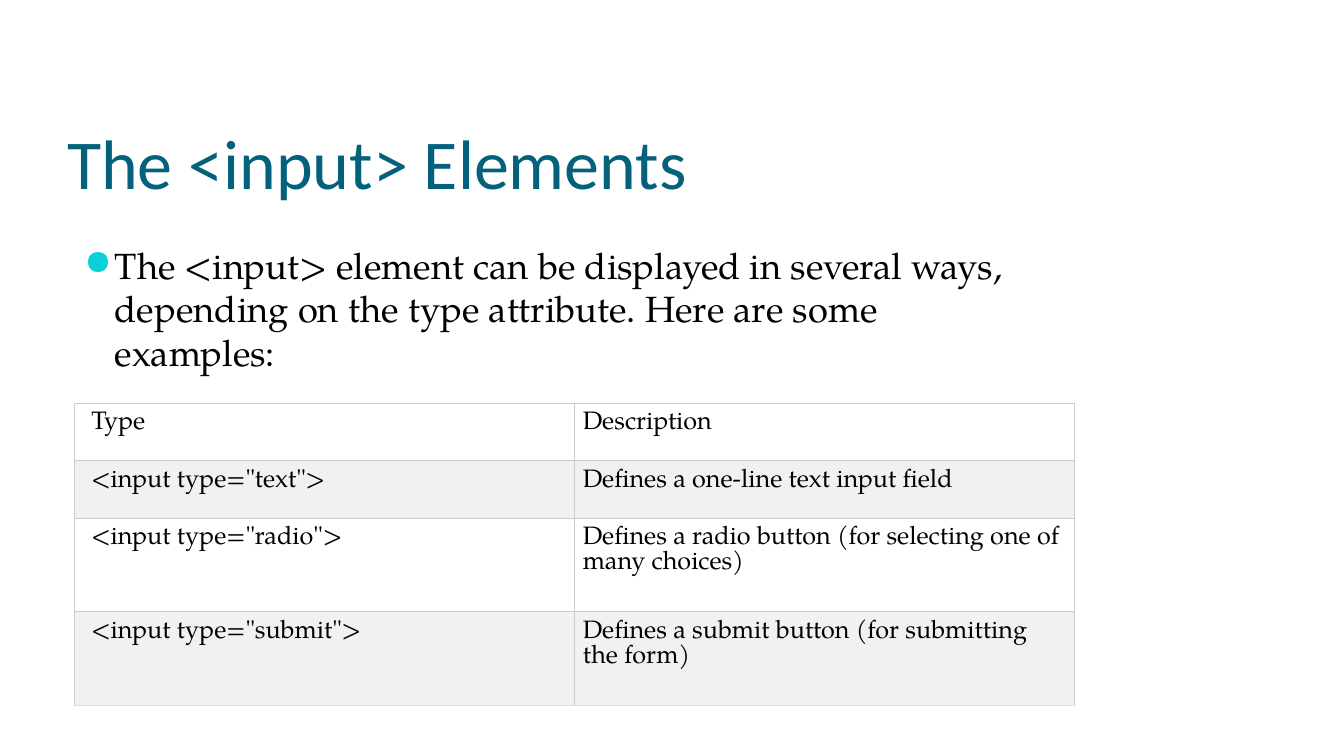
import pptx
import pptx.dml.color
import pptx.enum.text
import pptx.oxml
import pptx.oxml.ns
import pptx.util
from dataclasses import dataclass

Pt = pptx.util.Pt
RGB = pptx.dml.color.RGBColor.from_string
ANCHOR = pptx.enum.text.MSO_ANCHOR
NS = pptx.oxml.ns.nsdecls("a")


@dataclass(frozen=True)
class Theme:
    heading_font: str = "Calibri"
    body_font: str = "TeX Gyre Pagella"
    heading: str = "04617B"
    ink: str = "000000"
    bullet: str = "0BD0D9"
    row_fills: tuple = ("FFFFFF", "F1F1F1")
    grid: str = "CCCCCC"
    grid_end: str = "DDDDDD"
    heading_size: float = 50
    body_size: float = 26
    table_size: float = 18


INPUT_TYPES = [
    ("Type", "Description"),
    ('<input type="text">', "Defines a one-line text input field"),
    ('<input type="radio">', "Defines a radio button (for selecting one of many choices)"),
    ('<input type="submit">', "Defines a submit button (for submitting the form)"),
]
ROW_HEIGHTS = (41, 41, 67, 67)
COLUMN_WIDTH = 357


def apply(target, values):
    for name, value in values.items():
        setattr(target, name, value)


class SlideBuilder:
    def __init__(self, theme, slide):
        self.theme = theme
        self.slide = slide

    def add_text(self, frame, text, font, size, color):
        paragraph = frame.paragraphs[0]
        run = paragraph.add_run()
        run.text = text
        apply(run.font, {"name": font, "size": Pt(size)})
        run.font.color.rgb = RGB(color)
        return paragraph

    def text_box(self, box, **frame_format):
        frame = self.slide.shapes.add_textbox(*map(Pt, box)).text_frame
        apply(frame, {"word_wrap": True, **frame_format})
        return frame

    def title(self, text, box):
        frame = self.text_box(box, vertical_anchor=ANCHOR.BOTTOM,
                              margin_left=0, margin_right=0, margin_bottom=0)
        self.add_text(frame, text, self.theme.heading_font,
                      self.theme.heading_size, self.theme.heading)

    def bullet(self, text, box):
        theme = self.theme
        paragraph = self.add_text(self.text_box(box), text, theme.body_font,
                                  theme.body_size, theme.ink)
        paragraph.space_before = Pt(theme.body_size * 0.2)
        properties = paragraph._p.get_or_add_pPr()
        properties.set("marL", str(Pt(21.6)))
        properties.set("indent", str(-Pt(21.6)))
        for xml in (f'<a:buClr {NS}><a:srgbClr val="{theme.bullet}"/></a:buClr>',
                    f'<a:buSzPct {NS} val="95000"/>',
                    f'<a:buChar {NS} char="●"/>'):
            properties.append(pptx.oxml.parse_xml(xml))

    def borders(self, cell, bottom):
        """Draw the four cell edges; they must precede the fill in the XML."""
        grid = self.theme.grid
        edges = {"lnL": grid, "lnR": grid, "lnT": grid, "lnB": bottom}
        for place, (edge, color) in enumerate(edges.items()):
            cell._tc.get_or_add_tcPr().insert(place, pptx.oxml.parse_xml(
                f'<a:{edge} {NS} w="{Pt(0.75)}"><a:solidFill>'
                f'<a:srgbClr val="{color}"/></a:solidFill></a:{edge}>'))

    def table(self, rows, left, top, column_width, row_heights):
        theme = self.theme
        columns = len(rows[0])
        table = self.slide.shapes.add_table(
            len(rows), columns, Pt(left), Pt(top),
            Pt(column_width * columns), Pt(sum(row_heights))).table
        apply(table, {"first_row": False, "horz_banding": False})
        for column in table.columns:
            column.width = Pt(column_width)
        for r, (texts, height) in enumerate(zip(rows, row_heights)):
            table.rows[r].height = Pt(height)
            for c, text in enumerate(texts):
                cell = table.cell(r, c)
                apply(cell, {"margin_left": Pt(6 if c else 12), "margin_top": Pt(6),
                             "margin_right": Pt(6), "margin_bottom": Pt(6)})
                cell.fill.solid()
                cell.fill.fore_color.rgb = RGB(theme.row_fills[r % 2])
                self.borders(cell, theme.grid_end if r == len(rows) - 1 else theme.grid)
                paragraph = self.add_text(cell.text_frame, text, theme.body_font,
                                          theme.table_size, theme.ink)
                paragraph.line_spacing = Pt(theme.table_size)


def main():
    deck = pptx.Presentation()
    apply(deck, {"slide_width": Pt(960), "slide_height": Pt(540)})
    builder = SlideBuilder(Theme(), deck.slides.add_slide(deck.slide_layouts[6]))
    builder.title("The <input> Elements", (48, 55.4, 864, 90))
    builder.bullet("The <input> element can be displayed in several ways, depending on "
                   "the type attribute. Here are some examples:", (53.3, 170, 676.8, 311.8))
    builder.table(INPUT_TYPES, 53.3, 288, COLUMN_WIDTH, ROW_HEIGHTS)
    deck.save("out.pptx")


if __name__ == "__main__":
    main()
